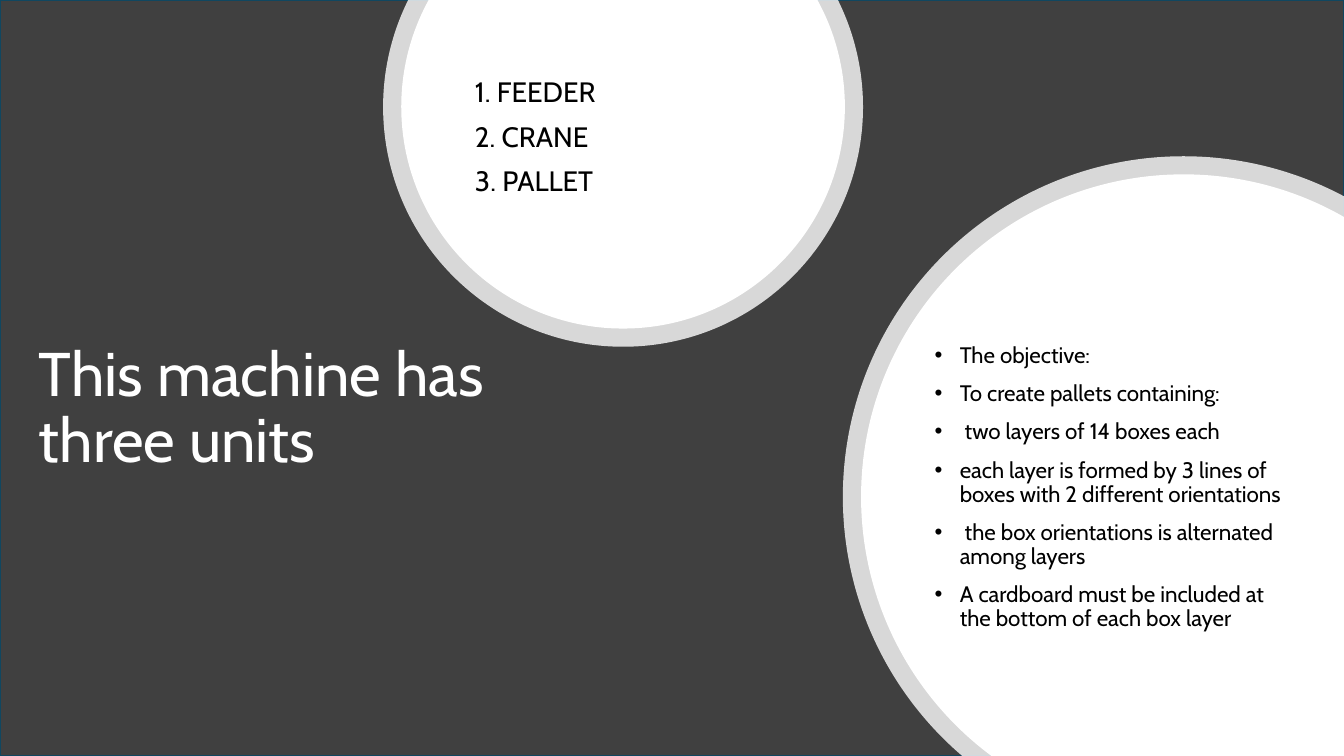
from math import acos, asin, cos, degrees, radians, sin, tan

from lxml.etree import SubElement
from pptx import Presentation
from pptx.dml.color import RGBColor
from pptx.enum.shapes import MSO_SHAPE as Shape
from pptx.enum.text import MSO_ANCHOR as Anchor, MSO_AUTO_SIZE as Fit, PP_ALIGN as Align
from pptx.oxml.ns import qn
from pptx.util import Inches, Pt

WIDE, HIGH = 13.33, 7.5
FONT = "Cabin"
DARK = RGBColor(0x40, 0x40, 0x40)
EDGE = RGBColor(0x10, 0x47, 0x60)
WHITE = RGBColor(0xFF, 0xFF, 0xFF)
BLACK = RGBColor(0, 0, 0)
RING = 0.18  # width of the pale band round each disc

UNITS = ["1. FEEDER", "2. CRANE", "3. PALLET"]
GOALS = [
    "The objective:",
    "To create pallets containing:",
    " two layers of 14 boxes each",
    "each layer is formed by 3 lines of boxes with 2 different orientations",
    " the box orientations is alternated among layers",
    "A cardboard must be included at the bottom of each box layer",
]


def place(shape, left, top, width, height):
    """Set a shape's box, given as shares of the slide's size."""
    shape.left, shape.width = Inches(left * WIDE), Inches(width * WIDE)
    shape.top, shape.height = Inches(top * HIGH), Inches(height * HIGH)


def add_back(slide):
    back = slide.shapes.add_shape(Shape.RECTANGLE, 0, 0, Inches(WIDE), Inches(HIGH))
    back.shadow.inherit = False
    back.fill.solid()
    back.fill.fore_color.rgb = DARK
    back.line.color.rgb = EDGE
    back.line.width = Pt(1.5)
    # Keep the panel behind the title
    slide.shapes._spTree.insert(2, back._element)


def add_arc(slide, mid, size, turns, ends=(), alpha=100):
    """Draw a disc's arc through the given angles, then lines to the ends."""
    def spot(turn, push=0.0):
        """Point at an angle, pushed along the tangent by a share of the radius."""
        c, s = cos(radians(turn)), sin(radians(turn))
        x, y = mid[0] + size * (c - push * s), mid[1] + size * (s + push * c)
        return Inches(x), Inches(y)

    knots = [spot(turn) for turn in turns]
    ends = [(Inches(x), Inches(y)) for x, y in ends]
    pen = slide.shapes.build_freeform(*knots[0], scale=1.0)
    pen.add_line_segments(knots[1:] + ends, close=True)
    disc = pen.convert_to_shape()

    # Turn the lines between knots into curves
    lines = list(disc._element.iter(qn("a:lnTo")))
    for line, old, new in zip(lines, turns, turns[1:]):
        push = 4 / 3 * tan(radians(new - old) / 4)
        curve = SubElement(line.getparent(), qn("a:cubicBezTo"))
        for x, y in (spot(old, push), spot(new, -push), spot(new)):
            SubElement(curve, qn("a:pt"), x=str(x - disc.left), y=str(y - disc.top))
        line.getparent().replace(line, curve)

    disc.shadow.inherit = False
    disc.line.fill.background()
    disc.fill.solid()
    disc.fill.fore_color.rgb = WHITE
    if alpha < 100:
        tint = disc._element.spPr.find(qn("a:solidFill"))[0]
        SubElement(tint, qn("a:alpha"), val=str(alpha * 1000))


def add_top(slide, size, alpha=100):
    """Disc cut by the top edge of the slide."""
    mid = (6.18, 1.06)
    cut = degrees(asin(mid[1] / size))
    add_arc(slide, mid, size, [-cut, 0, 90, 180, 180 + cut], alpha=alpha)


def add_side(slide, size, alpha=100):
    """Disc cut by the bottom and right edges of the slide."""
    mid = (11.74, 4.93)
    low = 180 - degrees(asin((HIGH - mid[1]) / size))
    high = 360 - degrees(acos((WIDE - mid[0]) / size))
    add_arc(slide, mid, size, [low, 180, 270, high], [(WIDE, HIGH)], alpha)


def set_frame(frame):
    frame.word_wrap = True
    frame.auto_size = Fit.NONE
    frame.vertical_anchor = Anchor.MIDDLE


def add_run(para, text, size, color):
    run = para.add_run()
    run.text = text
    run.font.name = FONT
    run.font.size = Pt(size)
    run.font.color.rgb = color


def set_title(slide, lines):
    title = slide.shapes.title
    place(title, 0.0215, 0.43, 0.497, 0.224)
    set_frame(title.text_frame)
    para = title.text_frame.paragraphs[0]
    para.alignment = Align.LEFT
    para.line_spacing = 0.9
    for row, line in enumerate(lines):
        if row:
            para.add_line_break()
        add_run(para, line, 44, WHITE)


def add_list(slide, box, items, size, dots=False):
    area = slide.shapes.add_textbox(0, 0, 0, 0)
    place(area, *box)
    frame = area.text_frame
    set_frame(frame)
    for row, item in enumerate(items):
        para = frame.add_paragraph() if row else frame.paragraphs[0]
        if dots:
            props = para._p.get_or_add_pPr()
            props.set("marL", str(Inches(0.25)))
            props.set("indent", str(-Inches(0.25)))
            SubElement(props, qn("a:buFont"), typeface="Arial")
            SubElement(props, qn("a:buChar"), char="•")
        para.line_spacing = 0.9
        if row:
            para.space_before = Pt(10)
        add_run(para, item, size, BLACK)


def main():
    deck = Presentation()
    deck.slide_width, deck.slide_height = Inches(WIDE), Inches(HIGH)
    slide = deck.slides.add_slide(deck.slide_layouts[5])

    # Dark panel and title
    add_back(slide)
    set_title(slide, ["This machine has ", "three units"])

    # Discs, each with a pale ring
    for add_disc, size in [(add_top, 2.2), (add_side, 3.2)]:
        add_disc(slide, size + RING, alpha=80)
        add_disc(slide, size)

    # Lists inside the discs
    add_list(slide, (0.346, 0.052, 0.236, 0.261), UNITS, 20)
    add_list(slide, (0.688, 0.459, 0.285, 0.373), GOALS, 16, dots=True)

    deck.save("out.pptx")


if __name__ == "__main__":
    main()
